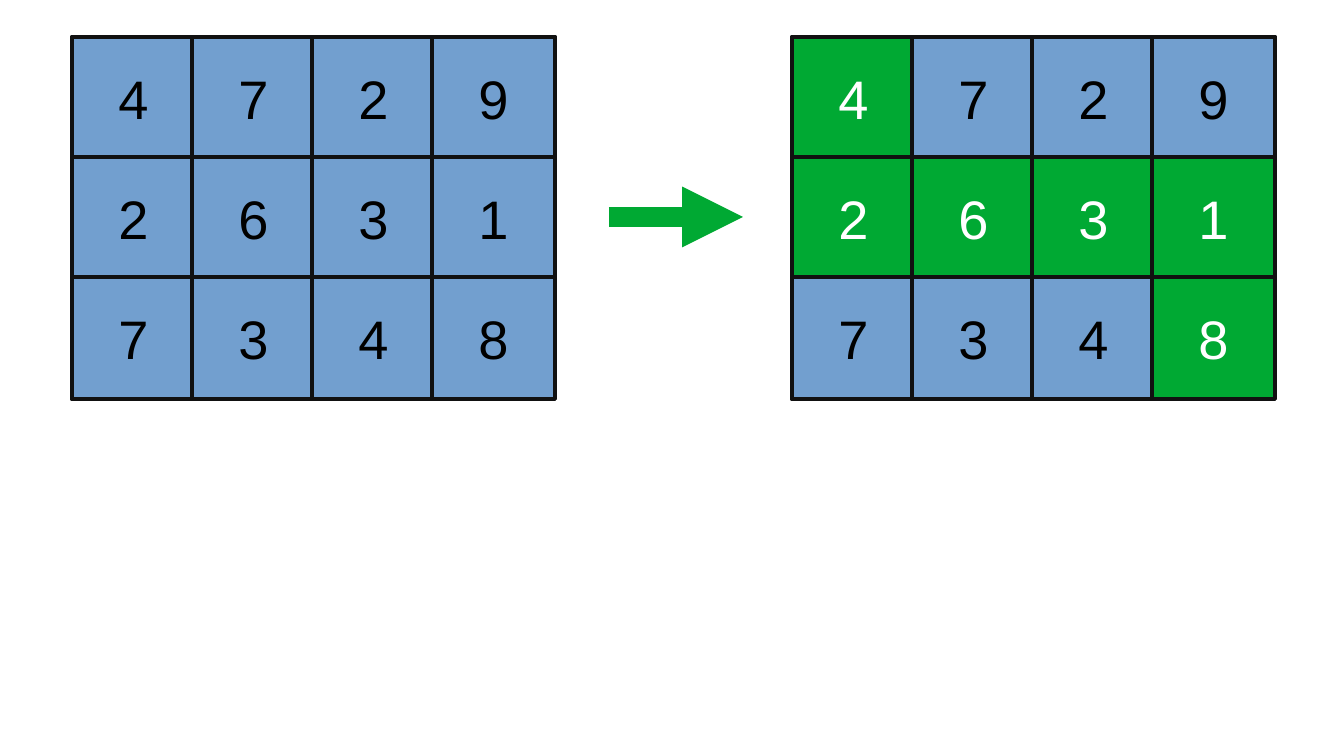
from lxml.etree import SubElement
from pptx import Presentation
from pptx.dml.color import RGBColor
from pptx.enum.shapes import MSO_CONNECTOR, MSO_SHAPE
from pptx.enum.text import MSO_ANCHOR, PP_ALIGN
from pptx.oxml.ns import qn
from pptx.util import Pt

COLORS = {
    "edge": "111111", "back": "DDDDDD", "cell": "729FCF",
    "route": "00A933", "dark": "000000", "light": "FFFFFF",
}
COSTS = ["4729", "2631", "7348"]
ROUTE = {(0, 0), (1, 0), (1, 1), (1, 2), (1, 3), (2, 3)}
STEP = 120  # distance between neighbouring cells


def px(n):
    return round(n * 914400 / 122)


def color(name):
    return RGBColor.from_string(COLORS[name])


def apply(item, form):
    for key, value in form.items():
        setattr(item, key, value)


def add_rect(slide, box, fill):
    rect = slide.shapes.add_shape(MSO_SHAPE.RECTANGLE, *map(px, box))
    rect.shadow.inherit = False
    rect.fill.solid()
    rect.fill.fore_color.rgb = color(fill)
    rect.line.color.rgb = color("edge")
    rect.line.width = Pt(2.3)
    return rect


def add_cell(slide, box, digit, chosen):
    rect = add_rect(slide, box, "route" if chosen else "cell")
    frame = rect.text_frame
    apply(frame, {
        "word_wrap": False, "vertical_anchor": MSO_ANCHOR.MIDDLE,
        "margin_left": px(13), "margin_right": px(13),
        "margin_top": px(7), "margin_bottom": px(7),
    })
    para = frame.paragraphs[0]
    para.alignment = PP_ALIGN.CENTER
    run = para.add_run()
    run.text = digit
    apply(run.font, {"name": "Arial", "size": Pt(32)})
    run.font.color.rgb = color("light" if chosen else "dark")


def add_grid(slide, box, route):
    left, top, width, height = box
    add_rect(slide, box, "back")
    # Cells overlap a little so that their edges merge
    wide = width - STEP * (len(COSTS[0]) - 1)
    high = height - STEP * (len(COSTS) - 1)
    for row, digits in enumerate(COSTS):
        for col, digit in enumerate(digits):
            cell = (left + col * STEP, top + row * STEP, wide, high)
            add_cell(slide, cell, digit, (row, col) in route)


def add_arrow(slide, box):
    left, top, width, height = box
    mid = px(top + height / 2)
    arrow = slide.shapes.add_connector(
        MSO_CONNECTOR.STRAIGHT, px(left), mid, px(left + width), mid)
    arrow.line.color.rgb = color("route")
    arrow.line.width = Pt(12)
    SubElement(arrow.line._get_or_add_ln(), qn("a:tailEnd"), type="triangle")
    SubElement(arrow._element.spPr, qn("a:effectLst"))


def main():
    deck = Presentation()
    apply(deck, {"slide_width": px(1344), "slide_height": px(756)})
    slide = deck.slides.add_slide(deck.slide_layouts[6])
    # Costs, arrow, cheapest route
    add_grid(slide, (72, 37, 483, 362), set())
    add_arrow(slide, (609, 187, 134, 60))
    add_grid(slide, (792, 37, 483, 362), ROUTE)
    deck.save("out.pptx")


if __name__ == "__main__":
    main()
